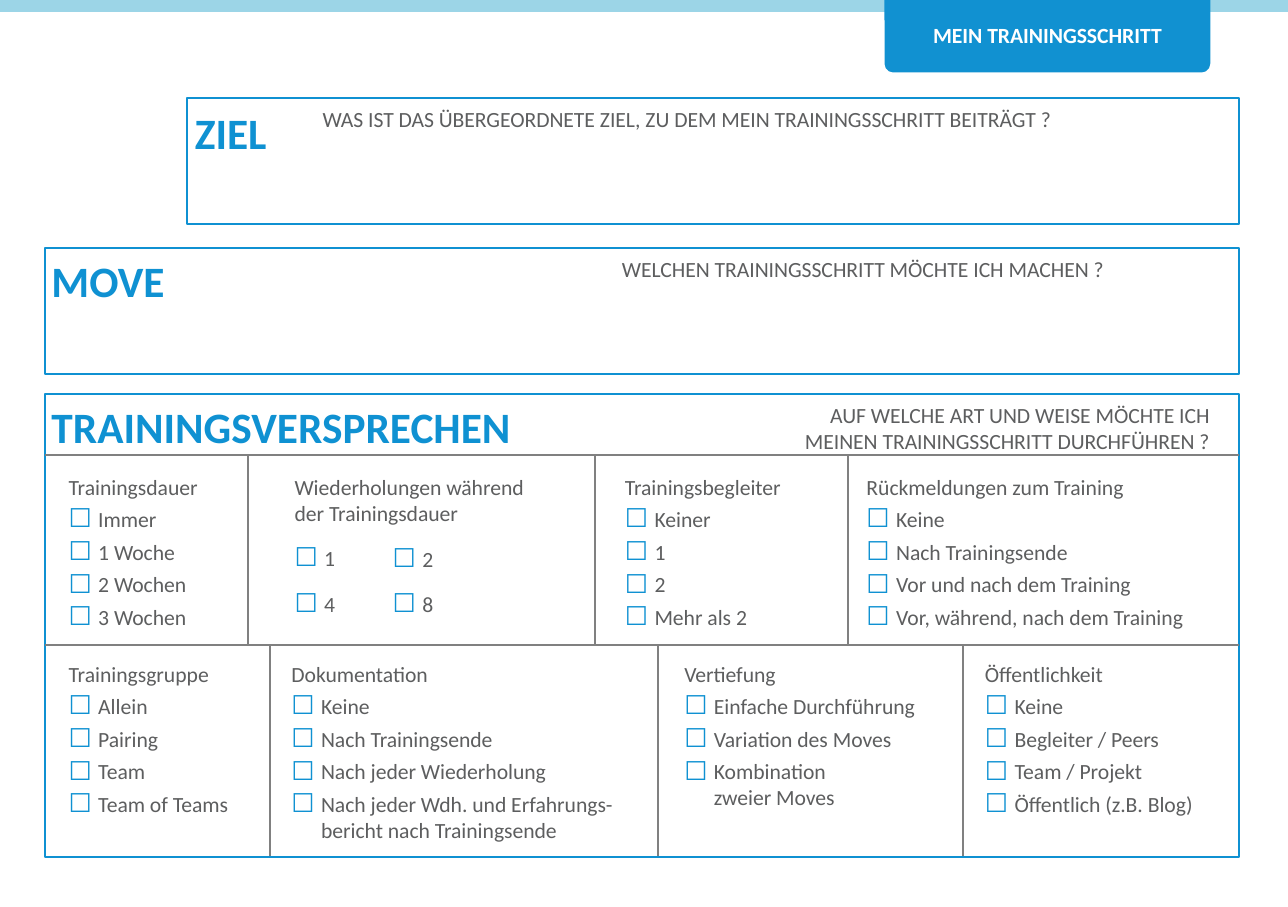
"""Build the one-page worksheet for planning a training step."""
import pptx
import pptx.dml.color
import pptx.enum.shapes
import pptx.enum.text
import pptx.oxml.ns
import pptx.util
from lxml import etree

RGB = pptx.dml.color.RGBColor
ALIGN = pptx.enum.text.PP_ALIGN
SHAPES = pptx.enum.shapes.MSO_SHAPE
Inches, Points = pptx.util.Inches, pptx.util.Pt
qn = pptx.oxml.ns.qn

SKY, TAB_BLUE, BLUE = RGB(0x9C, 0xD5, 0xE7), RGB(0x11, 0x91, 0xD1), RGB(0x0F, 0x91, 0xD2)
TEXT_GRAY, RULE_GRAY, WHITE = RGB(0x5D, 0x5E, 0x5F), RGB(0x80, 0x80, 0x80), RGB(0xFF, 0xFF, 0xFF)

SLIDE_WIDTH, SLIDE_HEIGHT = Points(595), Points(419)
LEFT, RIGHT, BOTTOM = 0.29, 7.95, 5.49
TAB_LEFT, TAB_WIDTH, TAB_HEIGHT = 5.68, 2.08, 0.47
INSET, HANGING = 0.05, 0.19
LINE_HEIGHT, SPACE_AFTER, OPTION_SPACE = 0.17, 3, 6

BODY = {"name": "Calibri", "size": Points(10), "bold": False}
HEADING = {"name": "Calibri", "size": Points(20), "bold": True}
TITLE = {"name": "Calibri", "size": Points(10), "bold": True}

TITLE_TEXT = "MEIN TRAININGSSCHRITT"
PANELS = [
    {"heading": "ZIEL", "left": 1.2, "top": 0.63, "height": 0.81, "inset": 0.05,
     "question": "WAS IST DAS ÜBERGEORDNETE ZIEL, ZU DEM MEIN TRAININGSSCHRITT BEITRÄGT ?",
     "question_left": 2.02, "question_width": 5.85, "align": ALIGN.LEFT},
    {"heading": "MOVE", "left": LEFT, "top": 1.59, "height": 0.81, "inset": 0.04,
     "question": "WELCHEN TRAININGSSCHRITT MÖCHTE ICH MACHEN ?",
     "question_left": 3.94, "question_width": 3.89, "align": ALIGN.LEFT},
    {"heading": "TRAININGSVERSPRECHEN", "left": LEFT, "top": 2.53, "height": 2.97, "inset": 0.04,
     "question": "AUF WELCHE ART UND WEISE MÖCHTE ICH\nMEINEN TRAININGSSCHRITT DURCHFÜHREN ?",
     "question_left": 4.55, "question_width": 3.26, "align": ALIGN.RIGHT},
]

# Each cell: left edge, text offset, text width, heading, options, space before options.
ROWS = [
    {"top": 2.92, "bottom": 4.14, "text_top": 2.99, "cells": [
        (LEFT, 0.1, 1.08, "Trainingsdauer", ["Immer", "1 Woche", "2 Wochen", "3 Wochen"], 0),
        (1.59, 0.25, 1.85, "Wiederholungen während\nder Trainingsdauer", ["1", "4"], OPTION_SPACE),
        (3.82, 0.14, 1.3, "Trainingsbegleiter", ["Keiner", "1", "2", "Mehr als 2"], 0),
        (5.44, 0.07, 2.56, "Rückmeldungen zum Training",
         ["Keine", "Nach Trainingsende", "Vor und nach dem Training",
          "Vor, während, nach dem Training"], 0),
    ]},
    {"top": 4.14, "bottom": BOTTOM, "text_top": 4.19, "cells": [
        (LEFT, 0.1, 1.25, "Trainingsgruppe", ["Allein", "Pairing", "Team", "Team of Teams"], 0),
        (1.73, 0.09, 2.37, "Dokumentation",
         ["Keine", "Nach Trainingsende", "Nach jeder Wiederholung",
          "Nach jeder Wdh. und Erfahrungs-\nbericht nach Trainingsende"], 0),
        (4.22, 0.12, 1.71, "Vertiefung",
         ["Einfache Durchführung", "Variation des Moves", "Kombination\nzweier Moves"], 0),
        (6.18, 0.09, 1.57, "Öffentlichkeit",
         ["Keine", "Begleiter / Peers", "Team / Projekt", "Öffentlich (z.B. Blog)"], 0),
    ]},
]
MORE_REPETITIONS = {"left": 2.47, "top": 3.45, "width": 0.36, "options": ["2", "8"]}


def box(left, top, width, height):
    return [Inches(length) for length in (left, top, width, height)]


def set_frame(shape, inset, wrap):
    values = {"word_wrap": wrap, "vertical_anchor": pptx.enum.text.MSO_ANCHOR.TOP}
    for side in ("left", "top", "right", "bottom"):
        values[f"margin_{side}"] = Inches(inset)
    for name, value in values.items():
        setattr(shape.text_frame, name, value)


def write(paragraph, text, style, color, align=ALIGN.LEFT):
    paragraph.text = text
    paragraph.alignment = align
    for font in [paragraph.font] + [run.font for run in paragraph.runs]:
        for name, value in style.items():
            setattr(font, name, value)
        font.color.rgb = color


def add_checkbox(paragraph):
    properties = paragraph._p.get_or_add_pPr()
    properties.set("marL", str(Inches(HANGING)))
    properties.set("indent", str(-Inches(HANGING)))
    bullet_color = etree.SubElement(properties, qn("a:buClr"))
    etree.SubElement(bullet_color, qn("a:srgbClr"), val=str(BLUE))
    etree.SubElement(properties, qn("a:buSzPct"), val="120000")
    etree.SubElement(properties, qn("a:buFont"), typeface=BODY["name"])
    etree.SubElement(properties, qn("a:buChar"), char="☐")


def add_shape(slide, kind, place, fill, line, line_width):
    shape = slide.shapes.add_shape(kind, *place)
    shape.shadow.inherit = False
    if fill is None:
        shape.fill.background()
    else:
        shape.fill.solid()
        shape.fill.fore_color.rgb = fill
    shape.line.color.rgb = line
    shape.line.width = Points(line_width)
    return shape


def add_rule(slide, start, end):
    rule = slide.shapes.add_connector(
        pptx.enum.shapes.MSO_CONNECTOR.STRAIGHT, *box(*start, *end))
    rule.line.color.rgb = RULE_GRAY
    rule.line.width = Points(1)
    etree.SubElement(rule.element.spPr, qn("a:effectLst"))


def add_text(slide, left, top, width, entries, align=ALIGN.LEFT):
    """Add a text box from entries of text, checkbox, space before and space after."""
    lines = sum(text.count("\n") + 1 for text, *_ in entries)
    spacing = sum(before + after for _, _, before, after in entries) / 72
    height = lines * LINE_HEIGHT + spacing + 2 * INSET
    shape = slide.shapes.add_textbox(*box(left, top, width, height))
    set_frame(shape, INSET, False)
    shape.text_frame.auto_size = pptx.enum.text.MSO_AUTO_SIZE.SHAPE_TO_FIT_TEXT
    for index, (text, checkbox, before, after) in enumerate(entries):
        paragraph = shape.text_frame.add_paragraph() if index else shape.text_frame.paragraphs[0]
        if checkbox:
            add_checkbox(paragraph)
        write(paragraph, text, BODY, TEXT_GRAY, align)
        paragraph.space_before, paragraph.space_after = Points(before), Points(after)


def add_header(slide):
    add_shape(slide, SHAPES.RECTANGLE, (0, 0, SLIDE_WIDTH, Inches(0.07)), SKY, SKY, 0.75)
    tab = add_shape(slide, SHAPES.ROUND_2_SAME_RECTANGLE,
                    box(TAB_LEFT, -0.01, TAB_WIDTH, TAB_HEIGHT), TAB_BLUE, TAB_BLUE, 0.75)
    tab.rotation = 180
    tab.adjustments[0] = 0.11
    title = slide.shapes.title
    title.left, title.top, title.width, title.height = box(TAB_LEFT, 0.09, TAB_WIDTH, 0.27)
    set_frame(title, INSET, True)
    title.text_frame.auto_size = pptx.enum.text.MSO_AUTO_SIZE.NONE
    write(title.text_frame.paragraphs[0], TITLE_TEXT, TITLE, WHITE, ALIGN.CENTER)
    title.element.getparent().append(title.element)


def add_panel(slide, panel):
    place = box(panel["left"], panel["top"], RIGHT - panel["left"], panel["height"])
    shape = add_shape(slide, SHAPES.RECTANGLE, place, None, BLUE, 1)
    set_frame(shape, panel["inset"], True)
    write(shape.text_frame.paragraphs[0], panel["heading"], HEADING, BLUE)
    add_text(slide, panel["question_left"], panel["top"], panel["question_width"],
             [(panel["question"], False, 0, 0)], panel["align"])


def add_row(slide, row):
    add_rule(slide, (LEFT, row["top"]), (RIGHT, row["top"]))
    for left, offset, width, heading, options, before in row["cells"]:
        if left > LEFT:
            add_rule(slide, (left, row["top"]), (left, row["bottom"]))
        entries = [(heading, False, 0, SPACE_AFTER)]
        entries += [(option, True, before, SPACE_AFTER) for option in options]
        add_text(slide, left + offset, row["text_top"], width, entries)


def main():
    presentation = pptx.Presentation()
    presentation.slide_width, presentation.slide_height = SLIDE_WIDTH, SLIDE_HEIGHT
    slide = presentation.slides.add_slide(presentation.slide_layouts[5])
    add_header(slide)
    for panel in PANELS:
        add_panel(slide, panel)
    for row in ROWS:
        add_row(slide, row)
    more = MORE_REPETITIONS
    entries = [(option, True, OPTION_SPACE if index else 0, SPACE_AFTER)
               for index, option in enumerate(more["options"])]
    add_text(slide, more["left"], more["top"], more["width"], entries)
    presentation.save("out.pptx")


if __name__ == "__main__":
    main()
